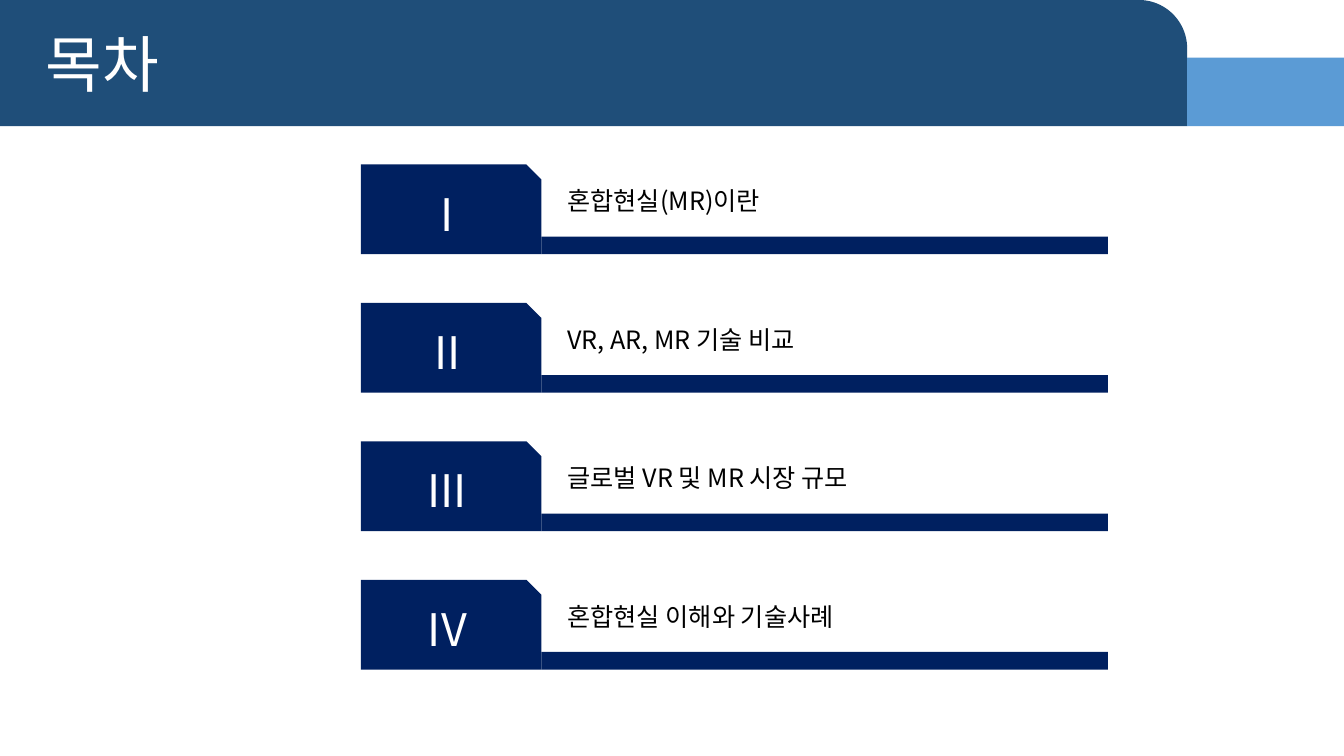
from pptx import Presentation
from pptx.dml.color import RGBColor
from pptx.enum.shapes import MSO_SHAPE as Kind
from pptx.enum.text import MSO_ANCHOR as Anchor, PP_ALIGN as Align
from pptx.oxml.ns import qn
from pptx.util import Pt

STEEL = RGBColor(0x1F, 0x4E, 0x79)
SKY = RGBColor(0x5B, 0x9B, 0xD5)
NAVY = RGBColor(0x00, 0x20, 0x60)
WHITE = RGBColor(0xFF, 0xFF, 0xFF)
BLACK = RGBColor(0x00, 0x00, 0x00)
FONT = "Noto Sans CJK KR"

TOPICS = [
    ("I", "혼합현실(MR)이란"),
    ("II", "VR, AR, MR 기술 비교"),
    ("III", "글로벌 VR 및 MR 시장 규모"),
    ("IV", "혼합현실 이해와 기술사례"),
]
TOP, STEP = 117.5, 98.9
LEFT, WIDTH, HEIGHT = 257.8, 128.9, 64.1
BAR = 12.6


def write(frame, text, size, color, align=Align.LEFT):
    frame.word_wrap = True
    frame.vertical_anchor = Anchor.MIDDLE
    para = frame.paragraphs[0]
    para.alignment = align
    run = para.add_run()
    run.text = text
    run.font.name = FONT
    run.font.size = Pt(size)
    run.font.color.rgb = color
    asian = run.font._element.makeelement(qn("a:ea"), {"typeface": FONT})
    run.font._element.find(qn("a:latin")).addnext(asian)


class Page:
    def __init__(self, deck):
        self.slide = deck.slides.add_slide(deck.slide_layouts[5])
        self.shapes = self.slide.shapes

    def block(self, kind, x, y, w, h, fill, bend=None):
        shape = self.shapes.add_shape(kind, Pt(x), Pt(y), Pt(w), Pt(h))
        shape.shadow.inherit = False
        shape.fill.solid()
        shape.fill.fore_color.rgb = fill
        shape.line.fill.background()
        if bend is not None:
            shape.adjustments[0] = bend
        return shape

    def title(self, text, x, y, w, h):
        title = self.shapes.title
        title.left, title.top = Pt(x), Pt(y)
        title.width, title.height = Pt(w), Pt(h)
        title.text_frame.margin_left = 0
        write(title.text_frame, text, 44, WHITE)
        tree = title._element.getparent()
        tree.append(title._element)

    def label(self, text, x, y, w, h):
        box = self.shapes.add_textbox(Pt(x), Pt(y), Pt(w), Pt(h))
        write(box.text_frame, text, 18, BLACK)

    def topic(self, mark, text, y):
        tab = self.block(Kind.SNIP_1_RECTANGLE, LEFT, y, WIDTH, HEIGHT, NAVY)
        write(tab.text_frame, mark, 32, WHITE, Align.CENTER)
        edge = LEFT + WIDTH
        self.block(Kind.RECTANGLE, edge, y + HEIGHT - BAR, 404.6, BAR, NAVY)
        self.label(text, edge + 11.5, y + 11.3, 366.5, 29.1)


def main():
    deck = Presentation()
    deck.slide_width, deck.slide_height = Pt(960), Pt(540)
    page = Page(deck)
    page.block(Kind.ROUND_1_RECTANGLE, 0, 0, 848, 90.2, STEEL, 0.383)
    page.block(Kind.RECTANGLE, 848, 41.2, 112, 49, SKY)
    page.title("목차", 32.5, 0, 780, 90.2)
    for row, (mark, text) in enumerate(TOPICS):
        page.topic(mark, text, TOP + row * STEP)
    deck.save("out.pptx")


if __name__ == "__main__":
    main()
